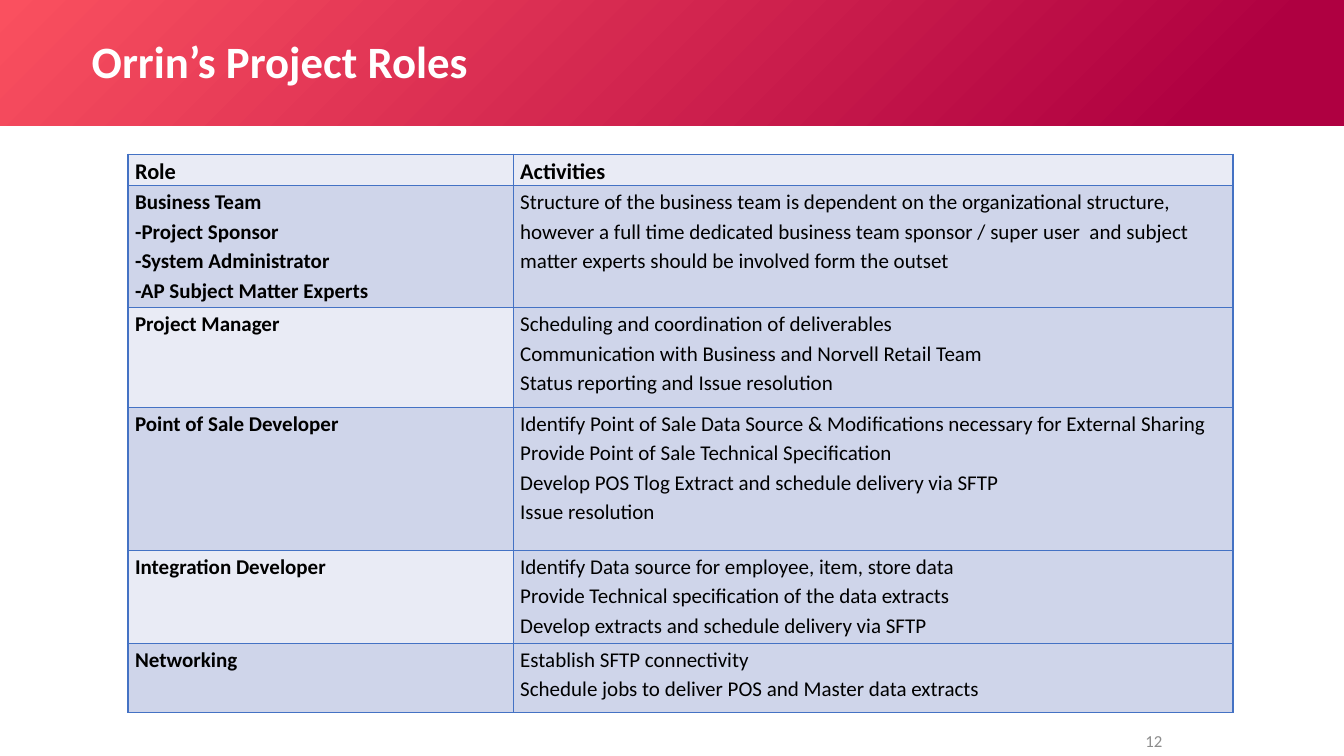
from pptx import Presentation
from pptx.dml.color import RGBColor
from pptx.enum.shapes import MSO_SHAPE
from pptx.enum.text import MSO_ANCHOR, PP_ALIGN
from pptx.oxml import parse_xml
from pptx.oxml.ns import nsdecls
from pptx.util import Inches, Pt

CRIMSON = RGBColor(0xAF, 0x00, 0x41)
CORAL = RGBColor(0xFA, 0x50, 0x5F)
WHITE = RGBColor(0xFF, 0xFF, 0xFF)
BLACK = RGBColor(0x00, 0x00, 0x00)
GRAY = RGBColor(0x8C, 0x8C, 0x8C)
LIGHT = RGBColor(0xE9, 0xEB, 0xF5)
BLUE = RGBColor(0xCF, 0xD5, 0xEA)
BORDER = RGBColor(0x44, 0x72, 0xC4)

COLS = [3.82, 7.14]
ROWS = [
    (0.29, ["Role"], ["Activities"]),
    (1.21, ["Business Team", "-Project Sponsor", "-System Administrator", "-AP Subject Matter Experts"],
     ["Structure of the business team is dependent on the organizational structure, however a full time "
      "dedicated business team sponsor / super user  and subject matter experts should be involved form the outset"]),
    (0.99, ["Project Manager"],
     ["Scheduling and coordination of deliverables",
      "Communication with Business and Norvell Retail Team",
      "Status reporting and Issue resolution"]),
    (1.42, ["Point of Sale Developer"],
     ["Identify Point of Sale Data Source & Modifications necessary for External Sharing",
      "Provide Point of Sale Technical Specification",
      "Develop POS Tlog Extract and schedule delivery via SFTP",
      "Issue resolution"]),
    (0.92, ["Integration Developer"],
     ["Identify Data source for employee, item, store data",
      "Provide Technical specification of the data extracts",
      "Develop extracts and schedule delivery via SFTP"]),
    (0.69, ["Networking"],
     ["Establish SFTP connectivity", "Schedule jobs to deliver POS and Master data extracts"]),
]


def write(tf, lines, size, color=BLACK, bold=False, align=PP_ALIGN.LEFT, spacing=1.0):
    tf.word_wrap = True
    for i, line in enumerate(lines):
        p = tf.paragraphs[0] if i == 0 else tf.add_paragraph()
        p.alignment = align
        p.line_spacing = spacing
        r = p.add_run()
        r.text = line
        r.font.name = "Calibri"
        r.font.size = Pt(size)
        r.font.bold = bold
        r.font.color.rgb = color


def set_borders(cell):
    tcPr = cell._tc.get_or_add_tcPr()
    for i, side in enumerate("LRTB"):
        tcPr.insert(i, parse_xml(
            f'<a:ln{side} {nsdecls("a")} w="{Pt(1)}"><a:solidFill>'
            f'<a:srgbClr val="{BORDER}"/></a:solidFill></a:ln{side}>'))


def add_header(s, x, y, w, h, text):
    sp = s.shapes.add_shape(MSO_SHAPE.RECTANGLE, Inches(x), Inches(y), Inches(w), Inches(h))
    sp.shadow.inherit = False
    sp.line.fill.background()
    sp.fill.gradient()
    sp.fill.gradient_angle = 135
    for stop, position, color in zip(sp.fill.gradient_stops, (0.1, 1), (CRIMSON, CORAL)):
        stop.position = position
        stop.color.rgb = color

    title = s.shapes.title
    s.shapes._spTree.append(title._element)
    title.left, title.top = Inches(x + 0.91), Inches(y + 0.39)
    title.width, title.height = Inches(8.74), Inches(0.48)
    tf = title.text_frame
    tf.margin_left = tf.margin_right = tf.margin_top = tf.margin_bottom = 0
    tf.vertical_anchor = MSO_ANCHOR.MIDDLE
    write(tf, [text], 32, color=WHITE, bold=True, spacing=0.9)


def add_roles(s, x, y):
    height = sum(row[0] for row in ROWS)
    table = s.shapes.add_table(len(ROWS), len(COLS), Inches(x), Inches(y),
                               Inches(sum(COLS)), Inches(height)).table
    for col, width in zip(table.columns, COLS):
        col.width = Inches(width)
    for i, (row_height, *texts) in enumerate(ROWS):
        table.rows[i].height = Inches(row_height)
        for j, lines in enumerate(texts):
            cell = table.cell(i, j)
            cell.margin_left = cell.margin_right = Inches(0.07)
            cell.margin_top = cell.margin_bottom = 0
            cell.fill.solid()
            cell.fill.fore_color.rgb = LIGHT if i == 0 or (j == 0 and i % 2 == 0) else BLUE
            set_borders(cell)
            write(cell.text_frame, lines, 16 if i == 0 else 15,
                  bold=i == 0 or j == 0, spacing=1.15)


def add_page_number(s, x, y, w, h, number):
    tf = s.shapes.add_textbox(Inches(x), Inches(y), Inches(w), Inches(h)).text_frame
    tf.vertical_anchor = MSO_ANCHOR.MIDDLE
    write(tf, [number], 12, color=GRAY, align=PP_ALIGN.CENTER)


def main():
    prs = Presentation()
    prs.slide_width, prs.slide_height = Inches(13.33), Inches(7.5)
    s = prs.slides.add_slide(prs.slide_layouts[5])
    add_header(s, 0, 0, 13.33, 1.25, "Orrin’s Project Roles")
    add_roles(s, 1.27, 1.53)
    add_page_number(s, 11.23, 7.19, 0.43, 0.31, "12")
    prs.save("out.pptx")


if __name__ == "__main__":
    main()
